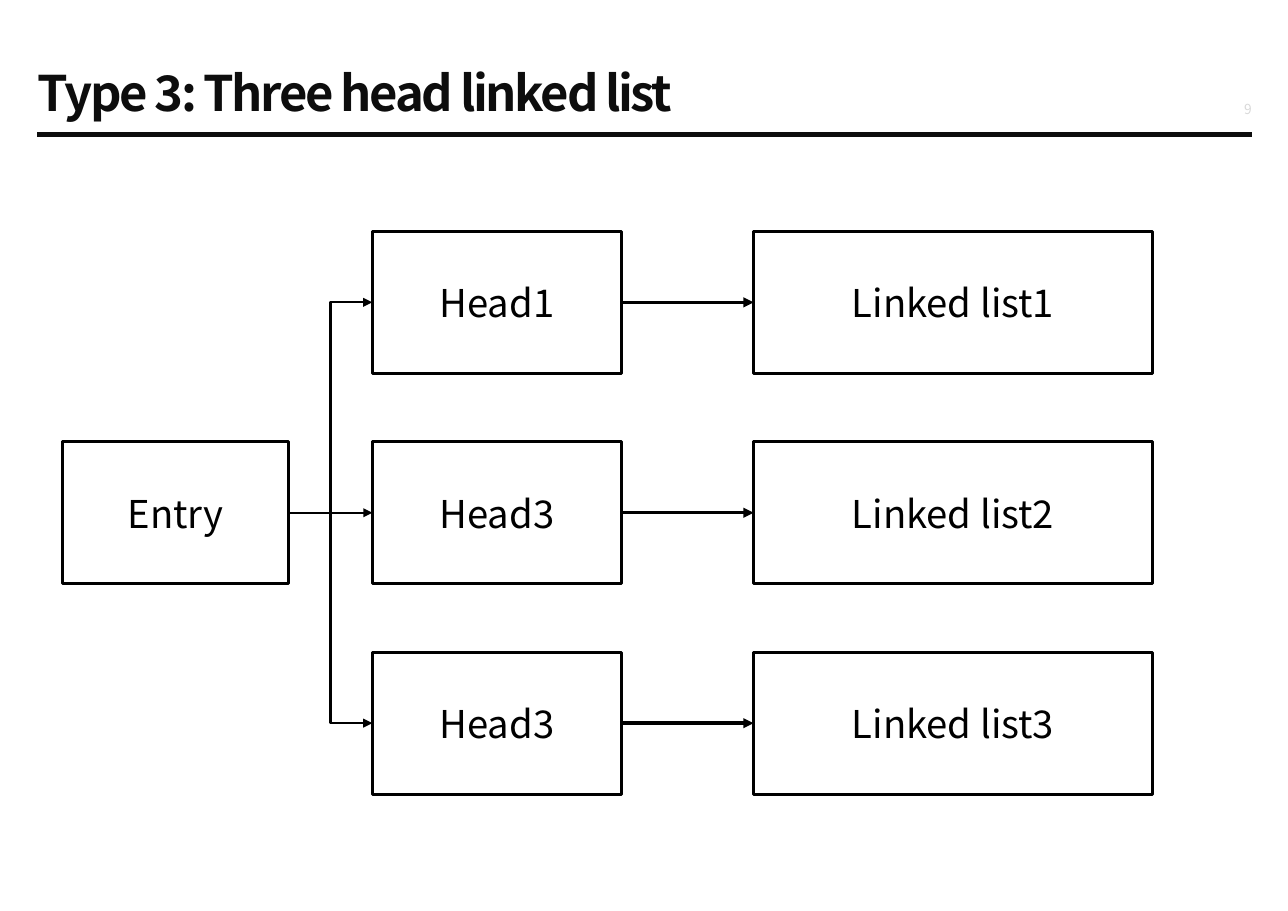
from lxml import etree
from pptx import Presentation
from pptx import util as u
from pptx.dml.color import RGBColor
from pptx.enum import shapes, text
from pptx.oxml.ns import qn

COLORS = {"ink": "0D0D0D", "line": "000000", "box": "FFFFFF", "number": "D9D9D9"}
LEFT_SITE, RIGHT_SITE = 1, 3


class Diagram:
    font = "Noto Sans CJK KR"
    box_size = 25
    box_height = 1.29

    def __init__(self, slide):
        self.slide = slide

    def color(self, name):
        return RGBColor.from_string(COLORS[name])

    def set_text(self, tf, content, size, color, align, bold=False, spacing=0):
        tf.text = content
        tf.vertical_anchor = text.MSO_ANCHOR.MIDDLE
        p = tf.paragraphs[0]
        p.alignment = align
        r = p.runs[0]
        r.font.name = self.font
        r.font.size = u.Pt(size)
        r.font.bold = bold
        r.font.color.rgb = self.color(color)
        if spacing:
            r.font._element.set("spc", str(round(spacing * 100)))
        return p

    def label(self, x, y, w, h, *args, **kwargs):
        sp = self.slide.shapes.add_textbox(*map(u.Inches, (x, y, w, h)))
        tf = sp.text_frame
        tf.word_wrap = True
        tf.margin_left = tf.margin_right = tf.margin_top = tf.margin_bottom = 0
        return self.set_text(tf, *args, **kwargs)

    def box(self, x, y, w, content):
        sp = self.slide.shapes.add_shape(
            shapes.MSO_SHAPE.RECTANGLE, *map(u.Inches, (x, y, w, self.box_height)))
        sp.shadow.inherit = False
        sp.fill.solid()
        sp.fill.fore_color.rgb = self.color("box")
        sp.line.color.rgb = self.color("line")
        sp.line.width = u.Pt(2)
        self.set_text(sp.text_frame, content, self.box_size, "line", text.PP_ALIGN.CENTER)
        return sp

    def line(self, x1, y1, x2, y2, width, color="line", kind=shapes.MSO_CONNECTOR.STRAIGHT):
        cx = self.slide.shapes.add_connector(kind, *map(u.Inches, (x1, y1, x2, y2)))
        cx.line.color.rgb = self.color(color)
        cx.line.width = u.Pt(width)
        etree.SubElement(cx._element.spPr, qn("a:effectLst"))
        return cx

    def arrow(self, start, end, width, kind=shapes.MSO_CONNECTOR.STRAIGHT):
        cx = self.line(0, 0, 1, 1, width, kind=kind)
        cx.begin_connect(start, RIGHT_SITE)
        cx.end_connect(end, LEFT_SITE)
        etree.SubElement(cx.line._get_or_add_ln(), qn("a:tailEnd"), type="triangle")


def main():
    prs = Presentation()
    prs.slide_width, prs.slide_height = u.Inches(11.69), u.Inches(8.27)
    s = prs.slides.add_slide(prs.slide_layouts[6])
    diagram = Diagram(s)

    # Header
    diagram.line(0.34, 1.22, 11.36, 1.22, 3, "ink")
    number = diagram.label(10.87, 0.86, 0.49, 0.22, "9", 9, "number",
                           text.PP_ALIGN.RIGHT, spacing=-0.9)
    number.line_spacing = 1.2
    diagram.label(0.34, 0.61, 9.38, 0.45, "Type 3: Three head linked list", 32, "ink",
                  text.PP_ALIGN.LEFT, bold=True, spacing=-1.5)

    # Rows of heads and their lists
    top, pitch = 2.1, 1.91
    heads = []
    for i, name in enumerate(("Head1", "Head3", "Head3")):
        y = top + i * pitch
        head = diagram.box(3.38, y, 2.26, name)
        linked_list = diagram.box(6.84, y, 3.62, f"Linked list{i + 1}")
        diagram.arrow(head, linked_list, 2.25)
        heads.append(head)

    # Entry, branching to every head
    entry = diagram.box(0.57, top + pitch, 2.05, "Entry")
    elbow, straight = shapes.MSO_CONNECTOR.ELBOW, shapes.MSO_CONNECTOR.STRAIGHT
    for head, kind in zip(heads, (elbow, straight, elbow)):
        diagram.arrow(entry, head, 1.5, kind)

    prs.save("out.pptx")


if __name__ == "__main__":
    main()
